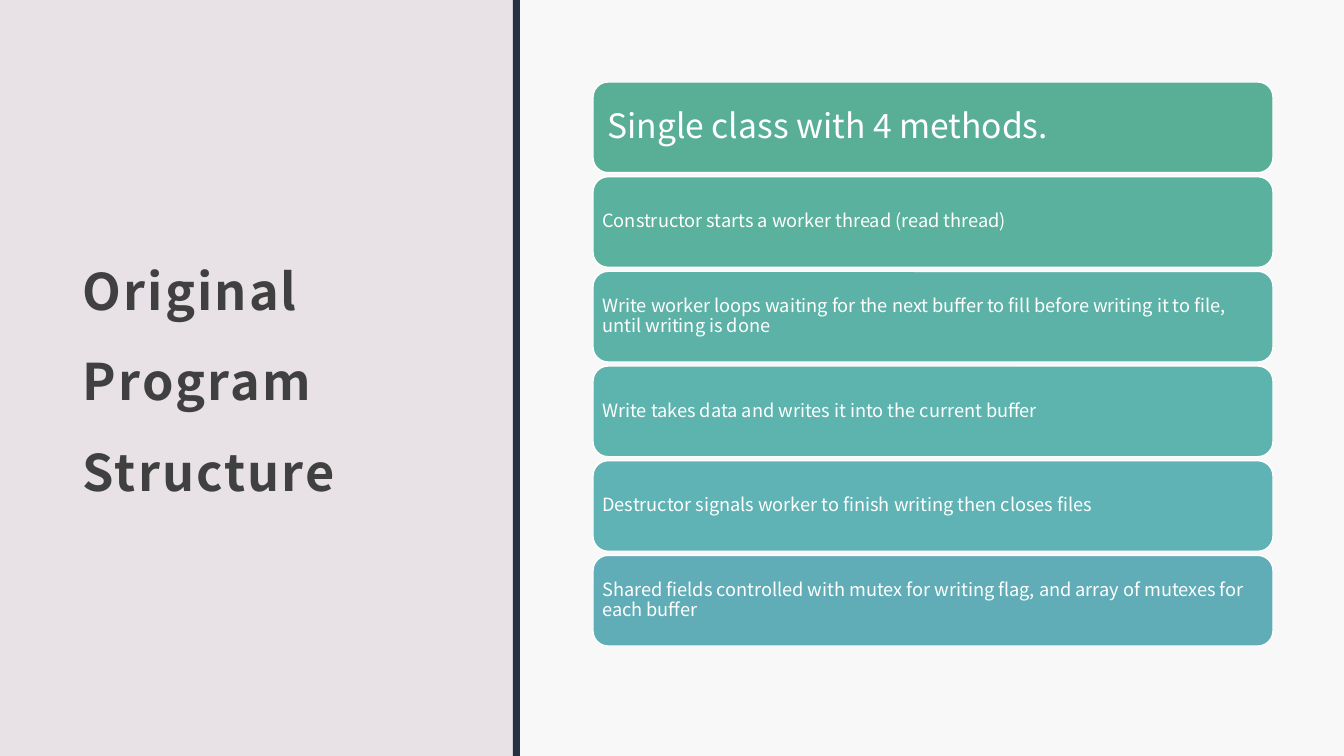
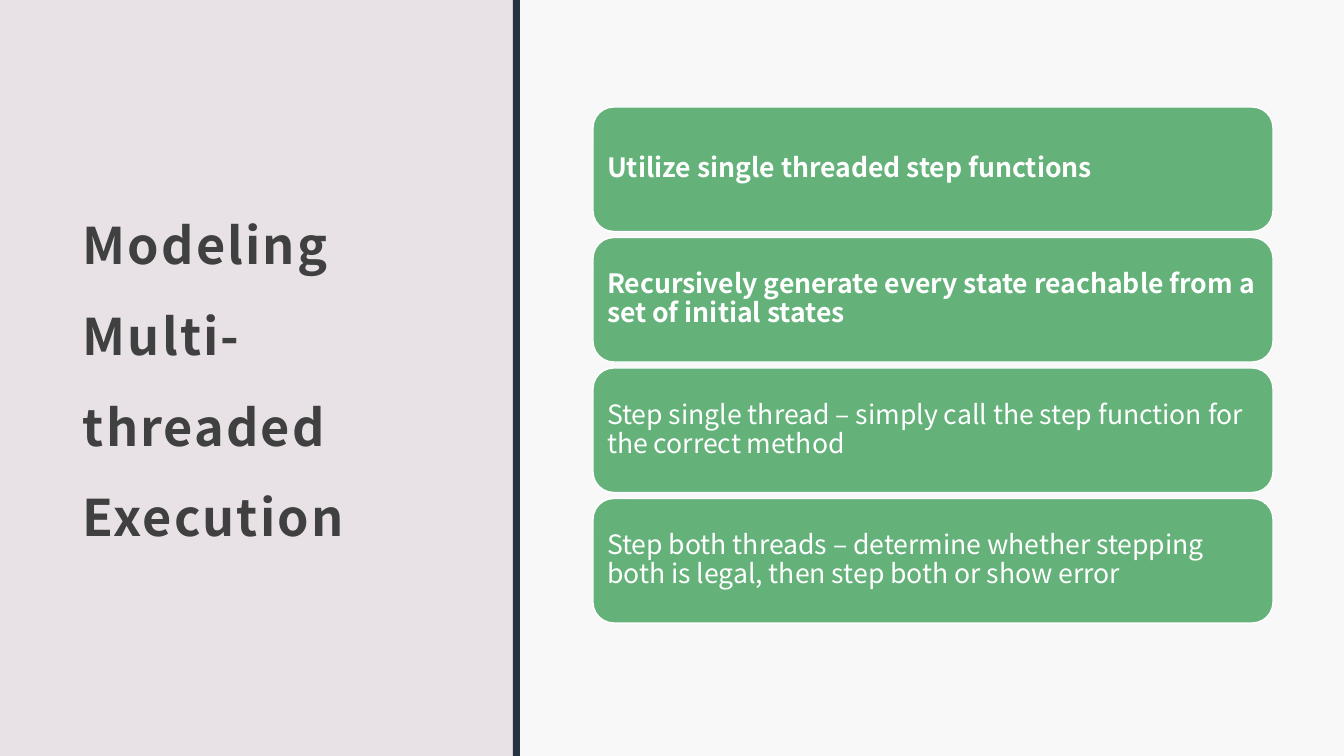
from pptx import Presentation
from pptx.dml.color import RGBColor
from pptx.enum.shapes import MSO_SHAPE
from pptx.enum.text import MSO_ANCHOR, PP_ALIGN
from pptx.util import Emu, Pt

SLIDE_W, SLIDE_H = 1344, 756
EMU_PER_PX = 12192000 / SLIDE_W
FONT = "Noto Sans CJK JP"
RECTANGLE, ROUNDED = MSO_SHAPE.RECTANGLE, MSO_SHAPE.ROUNDED_RECTANGLE
MIDDLE, LEFT = MSO_ANCHOR.MIDDLE, PP_ALIGN.LEFT

MAUVE = RGBColor(0xE8, 0xE2, 0xE6)
PALE = RGBColor(0xF9, 0xF8, 0xF9)
NAVY = RGBColor(0x24, 0x32, 0x41)
CHARCOAL = RGBColor(0x40, 0x40, 0x40)
WHITE = RGBColor(0xFF, 0xFF, 0xFF)
GREEN = RGBColor(0x64, 0xB2, 0x7A)
JADE = RGBColor(0x59, 0xAF, 0x95)
SEA = RGBColor(0x5A, 0xB1, 0x9E)
TEAL = RGBColor(0x5C, 0xB2, 0xA7)
AQUA = RGBColor(0x5D, 0xB4, 0xAF)
LAGOON = RGBColor(0x5F, 0xB3, 0xB5)
SKY = RGBColor(0x60, 0xAD, 0xB7)

PANEL_LEFT = 514
BAR_LEFT, BAR_W = 513, 7
CARD_LEFT, CARD_W = 593, 680

# Each card: fill, text size, bold, text
PAGES = [
    {
        "title": "Original Program Structure",
        "top": 82, "height": 564, "gap": 4,
        "cards": [
            (JADE, 24, False, "Single class with 4 methods."),
            (SEA, 13, False, "Constructor starts a worker thread (read thread)"),
            (TEAL, 13, False, "Write worker loops waiting for the next buffer to fill "
                              "before writing it to file, until writing is done"),
            (AQUA, 13, False, "Write takes data and writes it into the current buffer"),
            (LAGOON, 13, False, "Destructor signals worker to finish writing then closes files"),
            (SKY, 13, False, "Shared fields controlled with mutex for writing flag, "
                             "and array of mutexes for each buffer"),
        ],
    },
    {
        "title": "Modeling Multi-threaded Execution",
        "top": 107, "height": 516, "gap": 6,
        "cards": [
            (GREEN, 19, True, "Utilize single threaded step functions"),
            (GREEN, 19, True, "Recursively generate every state reachable from a set of "
                              "initial states"),
            (GREEN, 19, False, "Step single thread – simply call the step function for "
                               "the correct method"),
            (GREEN, 19, False, "Step both threads – determine whether stepping both is "
                               "legal, then step both or show error"),
        ],
    },
]


def px(*lengths):
    return [Emu(round(length * EMU_PER_PX)) for length in lengths]


def write(box, text, size, color, bold, spacing, insets):
    """Fill a box with one left-aligned, middle-anchored paragraph; return its run."""
    frame = box.text_frame
    frame.word_wrap = True
    frame.vertical_anchor = MIDDLE
    (frame.margin_left, frame.margin_top,
     frame.margin_right, frame.margin_bottom) = px(*insets)
    para = frame.paragraphs[0]
    para.alignment = LEFT
    para.line_spacing = spacing
    para.font.name = FONT
    para.font.size = Pt(size)
    para.font.bold = bold
    para.font.color.rgb = color
    span = para.add_run()
    span.text = text
    return span


deck = Presentation()
deck.slide_width, deck.slide_height = px(SLIDE_W, SLIDE_H)
blank = deck.slide_layouts[6]

for page in PAGES:
    slide = deck.slides.add_slide(blank)
    slide.background.fill.solid()
    slide.background.fill.fore_color.rgb = MAUVE

    for left, width, color in ((PANEL_LEFT, SLIDE_W - PANEL_LEFT, PALE),
                               (BAR_LEFT, BAR_W, NAVY)):
        band = slide.shapes.add_shape(RECTANGLE, *px(left, 0, width, SLIDE_H))
        band.shadow.inherit = False
        band.fill.solid()
        band.fill.fore_color.rgb = color
        band.line.fill.background()

    title = slide.shapes.add_textbox(*px(71, 78, 376, 573))
    span = write(title, page["title"], 36, CHARCOAL, True, 1.5, (12, 12, 12, 10))
    span._r.get_or_add_rPr().set("spc", "150")

    count = len(page["cards"])
    card_h = (page["height"] - (count - 1) * page["gap"]) / count
    for index, (color, size, bold, text) in enumerate(page["cards"]):
        top = page["top"] + index * (card_h + page["gap"])
        card = slide.shapes.add_shape(ROUNDED, *px(CARD_LEFT, top, CARD_W, card_h))
        card.shadow.inherit = False
        card.fill.solid()
        card.fill.fore_color.rgb = color
        card.line.color.rgb = WHITE
        card.line.width = Pt(1)
        inset = round(size * 0.4)
        write(card, text, size, WHITE, bold, 0.9, [inset] * 4)

deck.save("out.pptx")
